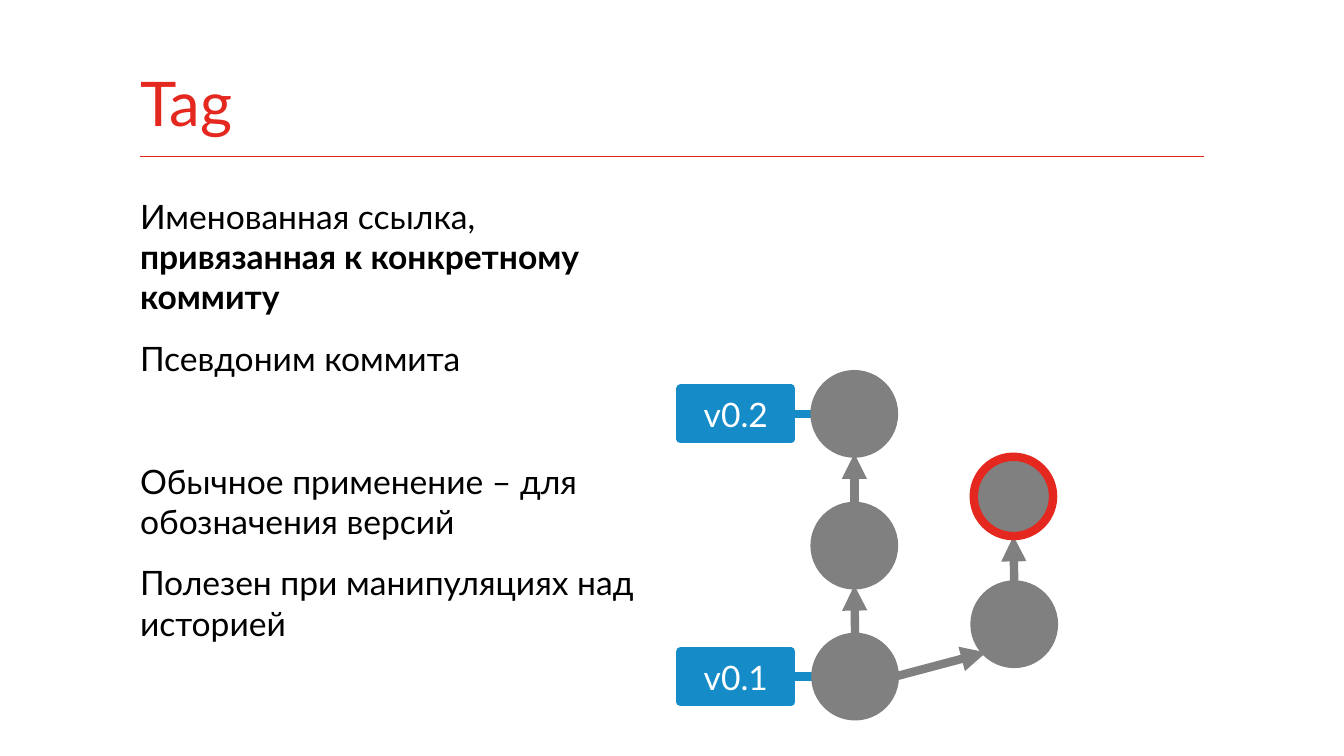
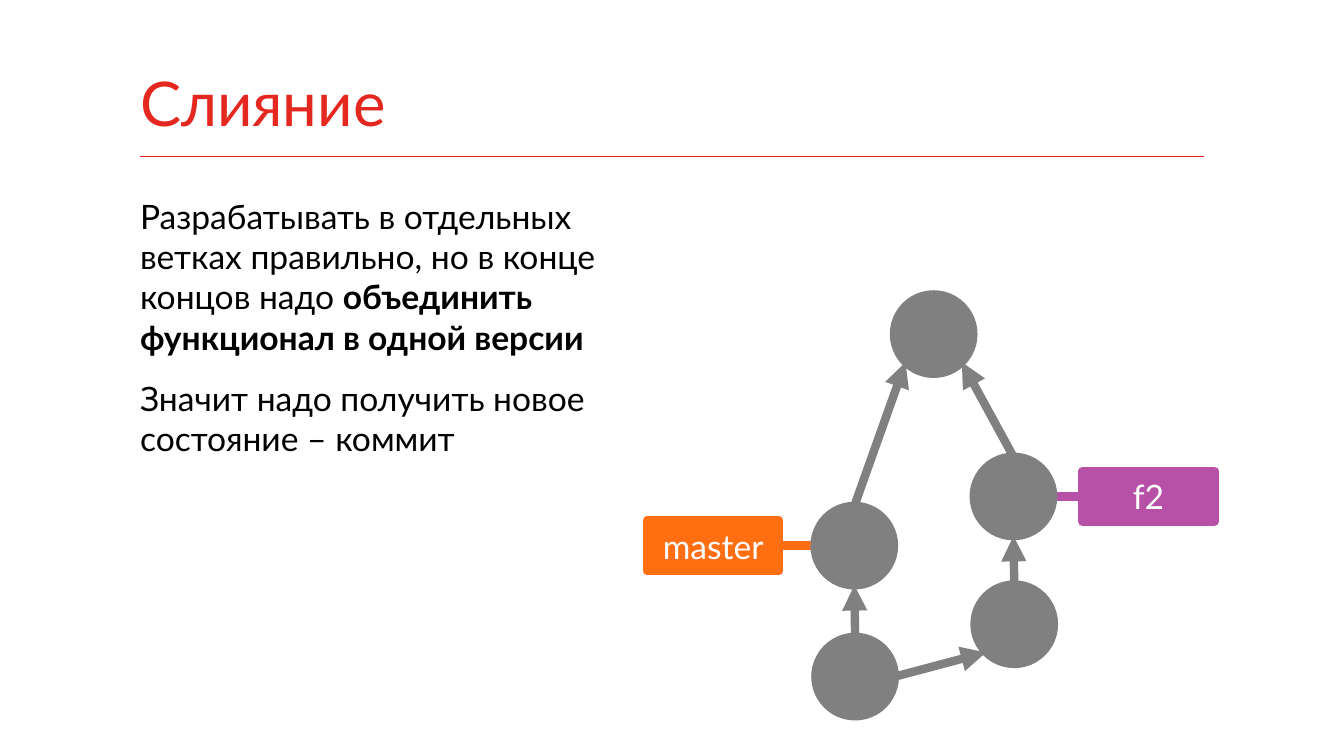
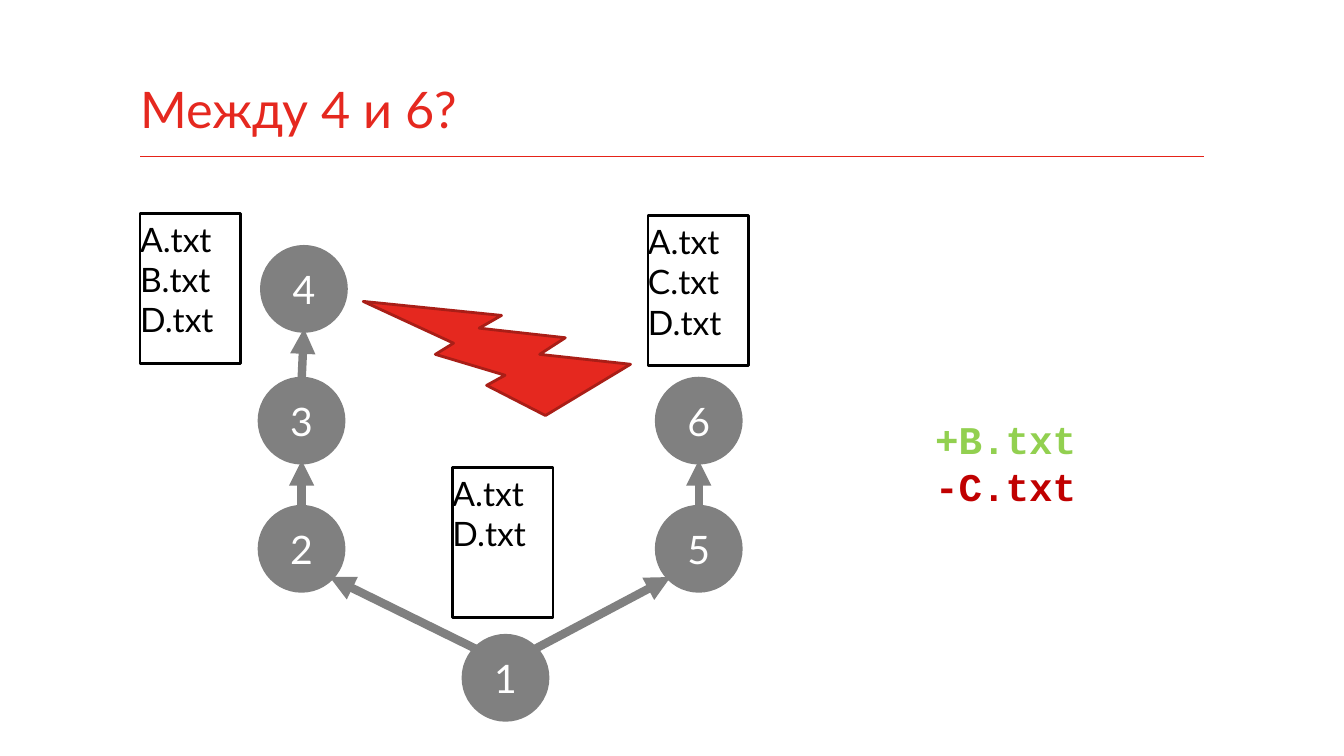
from dataclasses import dataclass
from typing import NamedTuple, Optional

from lxml import etree
from pptx import Presentation
from pptx.dml.color import RGBColor
from pptx.enum.shapes import MSO_CONNECTOR, MSO_SHAPE
from pptx.enum.text import MSO_ANCHOR, PP_ALIGN
from pptx.oxml.ns import qn
from pptx.util import Cm, Pt

# Shared look
RED = RGBColor(0xE5, 0x28, 0x1F)
RULE_RED = RGBColor(0xE5, 0x23, 0x19)
DARK_RED = RGBColor(0xA9, 0x1E, 0x17)
GRAY = RGBColor(0x80, 0x80, 0x80)
BLUE = RGBColor(0x15, 0x8B, 0xC8)
ORANGE = RGBColor(0xFF, 0x6E, 0x11)
PURPLE = RGBColor(0xB6, 0x51, 0xA7)
ADDED_GREEN = RGBColor(0x92, 0xD0, 0x50)
REMOVED_RED = RGBColor(0xC0, 0x00, 0x00)
BLACK = RGBColor(0x00, 0x00, 0x00)
WHITE = RGBColor(0xFF, 0xFF, 0xFF)

MAIN_FONT = "Lato"
CODE_FONT = "Courier New"
STRAIGHT = MSO_CONNECTOR.STRAIGHT
ELLIPSE = MSO_SHAPE.OVAL
RECTANGLE = MSO_SHAPE.RECTANGLE
BOLT = MSO_SHAPE.LIGHTNING_BOLT
LEFT, CENTER = PP_ALIGN.LEFT, PP_ALIGN.CENTER
TOP, MIDDLE, BOTTOM = MSO_ANCHOR.TOP, MSO_ANCHOR.MIDDLE, MSO_ANCHOR.BOTTOM
SIDE_LEFT, SIDE_RIGHT = 1, 3

# All positions below are in centimetres
MARGIN, CONTENT_WIDTH = 3.53, 26.8
RADIUS = 1.0
LABEL_HEIGHT = 1.27
THICK = 6
DEFAULT_INSETS = (0.25, 0.13, 0.25, 0.13)
CARD_INSETS = (0, 0.13, 0.25, 0.13)

DIAGONAL = 0.71
DIRECTIONS = {
    "top": (0, -1), "bottom": (0, 1), "left": (-1, 0), "right": (1, 0),
    "top left": (-DIAGONAL, -DIAGONAL), "top right": (DIAGONAL, -DIAGONAL),
    "bottom left": (-DIAGONAL, DIAGONAL), "bottom right": (DIAGONAL, DIAGONAL),
}


class Span(NamedTuple):
    text: str
    bold: bool = False
    color: Optional[RGBColor] = None


class Para(NamedTuple):
    spans: list
    before: float = 0


@dataclass
class Commit:
    x: float
    y: float
    text: str = ""
    outline: RGBColor = GRAY

    def edge(self, direction: str) -> tuple:
        across, down = DIRECTIONS[direction]
        return self.x + RADIUS * across, self.y + RADIUS * down


class Arrow(NamedTuple):
    start: Commit
    end: Commit
    leave: str = "top"
    arrive: str = "bottom"


class Label(NamedTuple):
    text: str
    commit: Commit
    left: float
    width: float
    color: RGBColor


class Card(NamedTuple):
    left: float
    top: float
    files: list


# Drawing helpers
def write_text(box, paras: list, *, size: float, color=BLACK, font=MAIN_FONT,
               align=LEFT, anchor=TOP, after=0, insets=DEFAULT_INSETS) -> None:
    frame = box.text_frame
    frame.word_wrap = True
    frame.vertical_anchor = anchor
    (frame.margin_left, frame.margin_top,
     frame.margin_right, frame.margin_bottom) = map(Cm, insets)
    for index, item in enumerate(paras):
        para = frame.paragraphs[0] if index == 0 else frame.add_paragraph()
        para.alignment = align
        para.space_before, para.space_after = Pt(item.before), Pt(after)
        for span in item.spans:
            run = para.add_run()
            run.text = span.text
            run.font.name, run.font.size = font, Pt(size)
            run.font.bold = span.bold
            run.font.color.rgb = span.color or color


def plain(*lines: str) -> list:
    return [Para([Span(line)]) for line in lines]


def add_text(page, left: float, top: float, width: float, height: float,
             paras: list, **text_format) -> None:
    box = page.shapes.add_textbox(Cm(left), Cm(top), Cm(width), Cm(height))
    write_text(box, paras, **text_format)


def add_box(page, kind, left: float, top: float, width: float, height: float,
            *, fill: RGBColor, outline: RGBColor, weight: float):
    box = page.shapes.add_shape(kind, Cm(left), Cm(top), Cm(width), Cm(height))
    box.shadow.inherit = False
    box.fill.solid()
    box.fill.fore_color.rgb = fill
    box.line.color.rgb = outline
    box.line.width = Pt(weight)
    return box


def add_line(page, start: tuple, end: tuple, *, color: RGBColor,
             weight: float = THICK, arrow: bool = False):
    line = page.shapes.add_connector(STRAIGHT, *map(Cm, start + end))
    line.line.color.rgb = color
    line.line.width = Pt(weight)
    properties = line._element.spPr
    if arrow:
        etree.SubElement(properties.find(qn("a:ln")), qn("a:tailEnd"), type="triangle")
    etree.SubElement(properties, qn("a:effectLst"))
    return line


def add_label(page, label: Label) -> None:
    commit = label.commit
    box = add_box(page, RECTANGLE, label.left, commit.y - LABEL_HEIGHT / 2,
                  label.width, LABEL_HEIGHT,
                  fill=label.color, outline=label.color, weight=THICK)
    write_text(box, plain(label.text), size=24, color=WHITE, align=CENTER, anchor=MIDDLE)
    on_left = label.left < commit.x
    target = commit.edge("left" if on_left else "right")
    link = add_line(page, target, target, color=label.color)
    link.begin_connect(box, SIDE_RIGHT if on_left else SIDE_LEFT)


def add_graph(page, commits: list, arrows: list, labels: list) -> None:
    for label in labels:
        add_label(page, label)
    for arrow in arrows:
        add_line(page, arrow.start.edge(arrow.leave), arrow.end.edge(arrow.arrive),
                 color=GRAY, arrow=True)
    for commit in commits:
        circle = add_box(page, ELLIPSE, commit.x - RADIUS, commit.y - RADIUS,
                         2 * RADIUS, 2 * RADIUS,
                         fill=GRAY, outline=commit.outline, weight=THICK)
        if commit.text:
            write_text(circle, plain(commit.text), size=28, color=WHITE,
                       align=CENTER, anchor=MIDDLE)


def add_card(page, card: Card) -> None:
    box = add_box(page, RECTANGLE, card.left, card.top, 2.54, 3.78,
                  fill=WHITE, outline=BLACK, weight=2)
    write_text(box, plain(*card.files), size=24, insets=CARD_INSETS)


def add_page(deck, title: str, *, title_size: float = 44):
    page = deck.slides.add_slide(deck.slide_layouts[6])
    add_line(page, (MARGIN, 3.94), (MARGIN + CONTENT_WIDTH, 3.94),
             color=RULE_RED, weight=0.75)
    add_text(page, MARGIN, 0.91, CONTENT_WIDTH, 3, plain(title), size=title_size,
             color=RED, anchor=BOTTOM, insets=(0, 0.13, 0, 0.41))
    return page


def add_body(page, paras: list) -> None:
    add_text(page, MARGIN, 4.93, 13.41, 13.21, paras, size=24, after=15,
             insets=(0, 0, 0, 0))


# Commits and arrows common to the first two slides
ROOT = Commit(21.55, 17.05)
MAIN = Commit(21.53, 13.75)
BRANCH = Commit(25.56, 15.73)


def branch_arrows(branch_tip: Commit) -> list:
    return [Arrow(ROOT, MAIN), Arrow(ROOT, BRANCH, "right", "bottom left"),
            Arrow(BRANCH, branch_tip)]


# Slides
def build_tag(deck) -> None:
    page = add_page(deck, "Tag")
    add_body(page, [
        Para([Span("Именованная ссылка, "),
              Span("привязанная к конкретному коммиту", bold=True)]),
        Para([Span("Псевдоним коммита")]),
        Para([Span("Обычное применение – для обозначения версий")], before=44),
        Para([Span("Полезен при манипуляциях над историей")]),
    ])
    release = Commit(21.53, 10.43)
    current = Commit(25.54, 12.51, outline=RED)
    add_graph(page, [ROOT, MAIN, BRANCH, current, release],
              branch_arrows(current) + [Arrow(MAIN, release)],
              [Label("v0.2", release, 17.15, 2.79, BLUE),
               Label("v0.1", ROOT, 17.15, 2.79, BLUE)])


def build_merge(deck) -> None:
    page = add_page(deck, "Слияние")
    add_body(page, [
        Para([Span("Разрабатывать в отдельных ветках правильно, "
                   "но в конце концов надо "),
              Span("объединить функционал в одной версии", bold=True)]),
        Para([Span("Значит надо получить новое состояние – коммит")]),
    ])
    feature = Commit(25.54, 12.51)
    merge = Commit(23.53, 8.42)
    add_graph(page, [ROOT, MAIN, BRANCH, feature, merge],
              branch_arrows(feature) + [Arrow(MAIN, merge, "top", "bottom left"),
                                        Arrow(feature, merge, "top", "bottom right")],
              [Label("master", MAIN, 16.31, 3.33, ORANGE),
               Label("f2", feature, 27.28, 3.33, PURPLE)])


def build_difference(deck) -> None:
    page = add_page(deck, "Между 4 и 6?", title_size=36)
    one = Commit(12.74, 17.08, "1")
    two, three = Commit(7.6, 13.83, "2"), Commit(7.6, 10.6, "3")
    four = Commit(7.66, 7.28, "4")
    five, six = Commit(17.61, 13.83, "5"), Commit(17.61, 10.6, "6")
    add_graph(page, [one, two, three, four, five, six],
              [Arrow(one, two, "top left", "bottom right"),
               Arrow(one, five, "top right", "bottom left"),
               Arrow(two, three), Arrow(three, four), Arrow(five, six)], [])

    bolt = add_box(page, BOLT, 9.55, 6.76, 6.12, 3.94,
                   fill=RED, outline=DARK_RED, weight=2)
    bolt.rotation = 165.4

    for card in (Card(3.53, 5.38, ["A.txt", "B.txt", "D.txt"]),
                 Card(16.33, 5.44, ["A.txt", "C.txt", "D.txt"]),
                 Card(11.4, 11.79, ["A.txt", "D.txt"])):
        add_card(page, card)

    add_text(page, 23.57, 10.34, 4.11, 3.45,
             [Para([Span("+B.txt", bold=True, color=ADDED_GREEN)]),
              Para([Span("-C.txt", bold=True, color=REMOVED_RED)])],
             size=28, font=CODE_FONT, insets=CARD_INSETS)


def main() -> None:
    deck = Presentation()
    deck.slide_width, deck.slide_height = Cm(33.87), Cm(19.05)
    build_tag(deck)
    build_merge(deck)
    build_difference(deck)
    deck.save("out.pptx")


if __name__ == "__main__":
    main()
